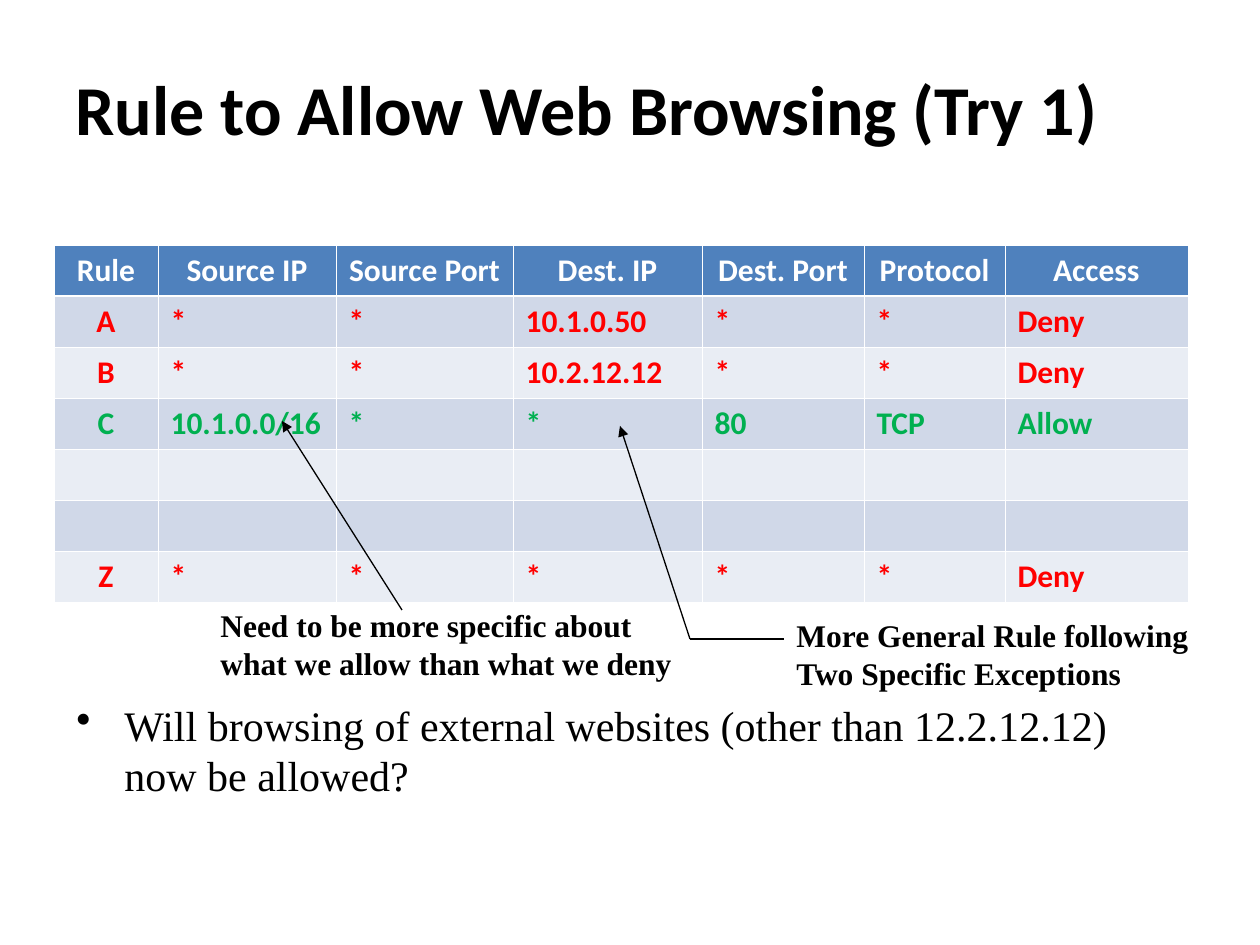
import pptx
import pptx.dml.color
import pptx.enum.shapes
import pptx.enum.text
import pptx.oxml
import pptx.oxml.ns
import pptx.util
import lxml.etree
from dataclasses import dataclass

PX = 914400 / 126  # EMU in one px


@dataclass(frozen=True)
class Theme:
    heading_font: str = "Calibri"
    body_font: str = "Times New Roman"
    title_size: int = 40
    bullet_size: int = 24
    label_size: int = 18
    black: str = "000000"
    white: str = "FFFFFF"
    header: str = "4F81BD"
    band_dark: str = "D0D8E8"
    band_light: str = "E9EDF4"
    deny: str = "FF0000"
    allow: str = "00B050"


theme = Theme()


def px(*lengths):
    return [pptx.util.Emu(round(length * PX)) for length in lengths]


def format_text(text_frame, font_name, size, color, bold):
    for paragraph in text_frame.paragraphs:
        for run in paragraph.runs:
            run.font.name = font_name
            run.font.size = pptx.util.Pt(size)
            run.font.bold = bold
            run.font.color.rgb = pptx.dml.color.RGBColor.from_string(color)


presentation = pptx.Presentation()
presentation.slide_width, presentation.slide_height = px(1260, 945)
slide = presentation.slides.add_slide(presentation.slide_layouts[5])

# Title
title = slide.shapes.title
title.left, title.top, title.width, title.height = px(63, 39, 1134, 137)
title.text_frame.text = "Rule to Allow Web Browsing (Try 1)"
title.text_frame.vertical_anchor = pptx.enum.text.MSO_ANCHOR.MIDDLE
title.text_frame.paragraphs[0].alignment = pptx.enum.text.PP_ALIGN.LEFT
format_text(title.text_frame, theme.heading_font, theme.title_size, theme.black, True)

# Firewall rule table
rules = [
    ["Rule", "Source IP", "Source Port", "Dest. IP", "Dest. Port", "Protocol", "Access"],
    ["A", "*", "*", "10.1.0.50", "*", "*", "Deny"],
    ["B", "*", "*", "10.2.12.12", "*", "*", "Deny"],
    ["C", "10.1.0.0/16", "*", "*", "80", "TCP", "Allow"],
    [""] * 7,
    [""] * 7,
    ["Z", "*", "*", "*", "*", "*", "Deny"],
]
column_widths = [104, 178, 177, 189, 162, 141, 183]
row_height = 51
table = slide.shapes.add_table(
    len(rules), len(column_widths),
    *px(54, 245, sum(column_widths), row_height * len(rules))).table
for column, width in zip(table.columns, column_widths):
    column.width = px(width)[0]

text_colors = {"Access": theme.white, "Deny": theme.deny, "Allow": theme.allow, "": theme.black}
for row_index, rule in enumerate(rules):
    table.rows[row_index].height = px(row_height)[0]
    if row_index == 0:
        fill_color = theme.header
    else:
        fill_color = theme.band_dark if row_index % 2 else theme.band_light
    for column_index, text in enumerate(rule):
        cell = table.cell(row_index, column_index)
        # Borders come before the fill in the cell properties
        cell_properties = cell._tc.get_or_add_tcPr()
        for side in ("lnL", "lnR", "lnT", "lnB"):
            below_header = (row_index, side) in ((0, "lnB"), (1, "lnT"))
            border = lxml.etree.SubElement(
                cell_properties, pptx.oxml.ns.qn(f"a:{side}"),
                w=str(pptx.util.Pt(1.5 if below_header else 0.5)))
            border_fill = lxml.etree.SubElement(border, pptx.oxml.ns.qn("a:solidFill"))
            lxml.etree.SubElement(border_fill, pptx.oxml.ns.qn("a:srgbClr"), val=theme.white)
        cell.fill.solid()
        cell.fill.fore_color.rgb = pptx.dml.color.RGBColor.from_string(fill_color)
        if not text:
            continue
        cell.text_frame.text = text
        if row_index == 0 or column_index == 0:
            cell.text_frame.paragraphs[0].alignment = pptx.enum.text.PP_ALIGN.CENTER
        format_text(cell.text_frame, theme.heading_font, theme.label_size,
                    text_colors[rule[-1]], True)

# Question and notes on the rules: text, box, size, bold, bulleted
texts = [
    ("Will browsing of external websites (other than 12.2.12.12) now be allowed?",
     (64, 693, 1134, 113), theme.bullet_size, False, True),
    ("More General Rule following Two Specific Exceptions",
     (784, 610, 432, 88), theme.label_size, True, False),
    ("Need to be more specific about what we allow than what we deny",
     (208, 600, 491, 88), theme.label_size, True, False),
]
for text, box, size, bold, bulleted in texts:
    text_frame = slide.shapes.add_textbox(*px(*box)).text_frame
    text_frame.word_wrap = True
    text_frame.text = text
    if bulleted:
        paragraph_properties = text_frame.paragraphs[0]._p.get_or_add_pPr()
        indent = px(48)[0]
        paragraph_properties.set("marL", str(indent))
        paragraph_properties.set("indent", str(-indent))
        lxml.etree.SubElement(paragraph_properties, pptx.oxml.ns.qn("a:buChar"), char="•")
    format_text(text_frame, theme.body_font, size, theme.black, bold)

# Pointers from the notes to the cells: ends, arrowhead
pointers = [
    ((690, 639, 620, 426), True),
    ((690, 639, 784, 639), False),
    ((402, 610, 282, 421), True),
]
for ends, has_arrowhead in pointers:
    pointer = slide.shapes.add_connector(
        pptx.enum.shapes.MSO_CONNECTOR.STRAIGHT, *px(*ends))
    pointer.line.width = pptx.util.Pt(0.75)
    pointer.line.color.rgb = pptx.dml.color.RGBColor.from_string(theme.black)
    if has_arrowhead:
        lxml.etree.SubElement(pointer.line._get_or_add_ln(),
                              pptx.oxml.ns.qn("a:tailEnd"), type="triangle")
    lxml.etree.SubElement(pointer._element.spPr, pptx.oxml.ns.qn("a:effectLst"))

presentation.save("out.pptx")
